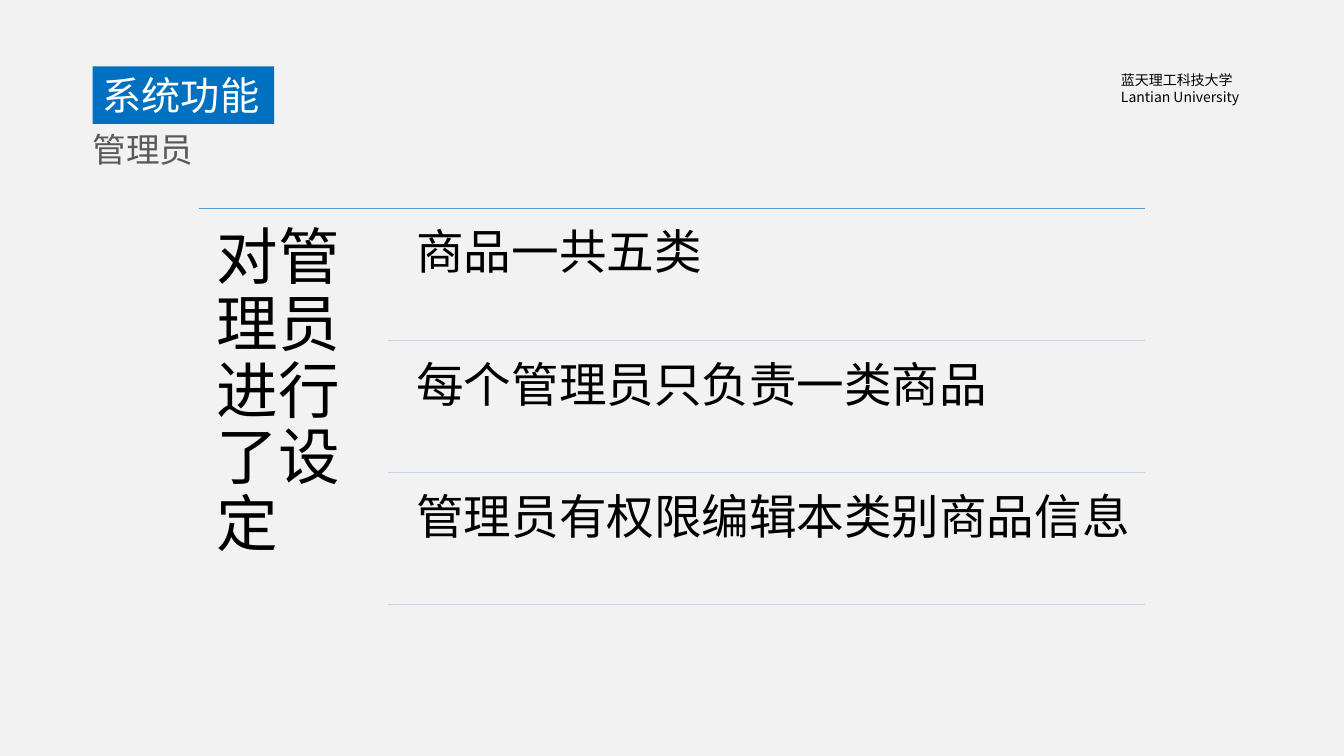
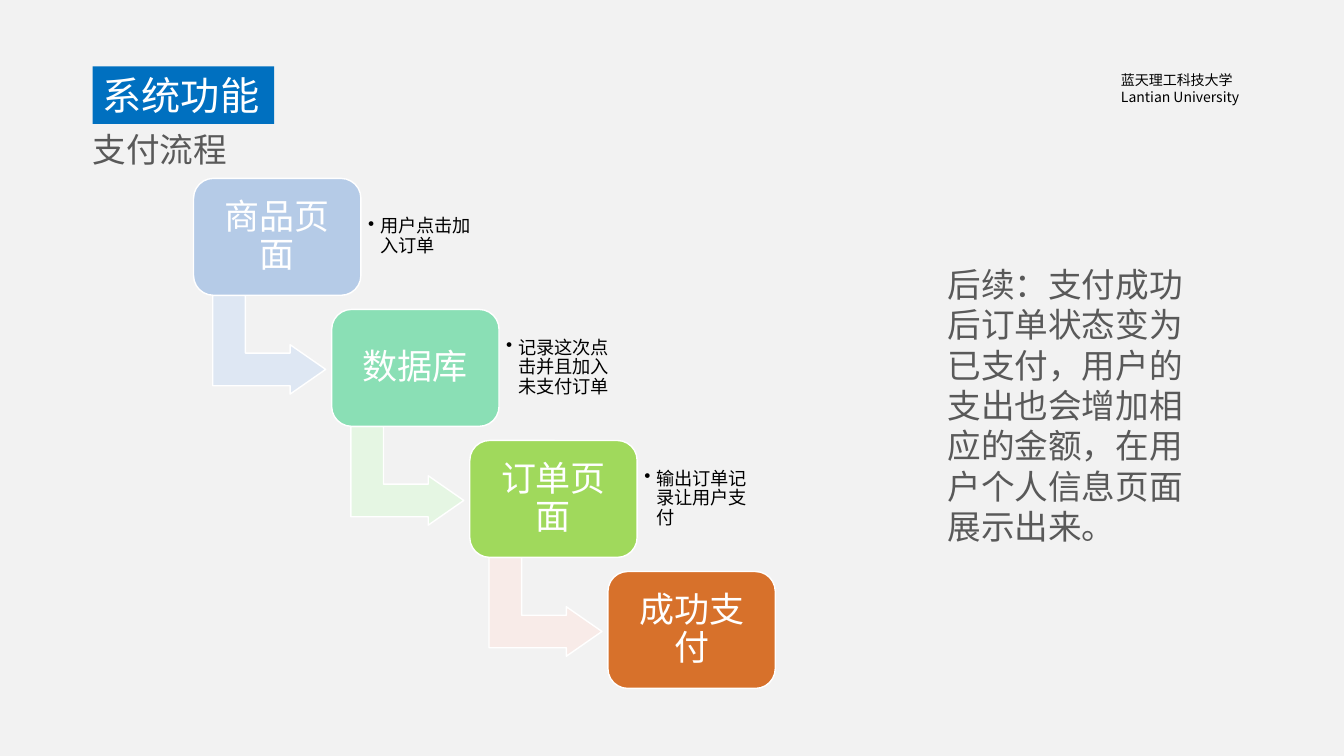
from dataclasses import dataclass

from lxml import etree
from pptx import Presentation
from pptx.dml.color import RGBColor
from pptx.enum.shapes import MSO_CONNECTOR, MSO_SHAPE
from pptx.enum.text import MSO_ANCHOR, PP_ALIGN
from pptx.oxml.ns import qn
from pptx.util import Inches, Pt

STRAIGHT = MSO_CONNECTOR.STRAIGHT
RECTANGLE = MSO_SHAPE.RECTANGLE
ROUNDED = MSO_SHAPE.ROUNDED_RECTANGLE
BENT_ARROW = MSO_SHAPE.BENT_UP_ARROW
TOP, MIDDLE = MSO_ANCHOR.TOP, MSO_ANCHOR.MIDDLE
LEFT, CENTER = PP_ALIGN.LEFT, PP_ALIGN.CENTER


@dataclass(frozen=True)
class Theme:
    background: str = "F2F2F2"
    band: str = "0070C0"
    white: str = "FFFFFF"
    black: str = "000000"
    gray: str = "595959"
    main_rule: str = "5B9BD5"
    row_rule: str = "C4D5EB"
    heading_font: str = "Noto Sans CJK SC"
    body_font: str = "Calibri"
    school_size: int = 10
    note_size: int = 13
    body_size: int = 24
    step_size: int = 25
    title_size: int = 28
    row_size: int = 34
    topic_size: int = 44


THEME = Theme()


def write_text(shape, lines, size, color, font=THEME.heading_font, inset=None,
               spacing=None, anchor=TOP, align=LEFT):
    """Fill a shape with one paragraph per line, all in the same style."""
    frame = shape.text_frame
    frame.word_wrap = True
    frame.vertical_anchor = anchor
    if inset is not None:
        frame.margin_left = frame.margin_right = Inches(inset)
        frame.margin_top = frame.margin_bottom = Inches(inset)
    frame.text = "\n".join(lines)
    for paragraph in frame.paragraphs:
        paragraph.alignment = align
        paragraph.line_spacing = spacing
        paragraph.font.name = font
        paragraph.font.size = Pt(size)
        paragraph.font.color.rgb = RGBColor.from_string(color)


def add_rule(slide, left, right, top, color):
    rule = slide.shapes.add_connector(
        STRAIGHT, Inches(left), Inches(top), Inches(right), Inches(top))
    rule.line.color.rgb = RGBColor.from_string(color)
    rule.line.width = Pt(1)
    etree.SubElement(rule.line._get_or_add_ln().getparent(), qn("a:effectLst"))


presentation = Presentation()
presentation.slide_width = Inches(13.33)
presentation.slide_height = Inches(7.5)
blank_layout = presentation.slide_layouts[6]

# Shared header
slides = []
for subtitle in ("管理员", "支付流程"):
    slide = presentation.slides.add_slide(blank_layout)
    slide.background.fill.solid()
    slide.background.fill.fore_color.rgb = RGBColor.from_string(THEME.background)

    school = slide.shapes.add_textbox(Inches(11.02), Inches(0.66), Inches(2.3), Inches(0.44))
    write_text(school, ["蓝天理工科技大学", "Lantian University"],
               THEME.school_size, THEME.black)

    title = slide.shapes.add_shape(
        RECTANGLE, Inches(0.92), Inches(0.66), Inches(1.8), Inches(0.57))
    title.shadow.inherit = False
    title.fill.solid()
    title.fill.fore_color.rgb = RGBColor.from_string(THEME.band)
    title.line.fill.background()
    write_text(title, ["系统功能"], THEME.title_size, THEME.white, anchor=MIDDLE)

    subtitle_box = slide.shapes.add_textbox(
        Inches(0.82), Inches(1.23), Inches(4.96), Inches(0.5))
    write_text(subtitle_box, [subtitle], THEME.body_size, THEME.gray)
    slides.append(slide)

admin_slide, payment_slide = slides

# Administrator rules
list_left, list_right, list_top = 1.97, 11.36, 2.07
row_left, row_height = 3.85, 1.31
add_rule(admin_slide, list_left, list_right, list_top, THEME.main_rule)
topic = admin_slide.shapes.add_textbox(
    Inches(list_left), Inches(list_top), Inches(row_left - list_left), Inches(4))
write_text(topic, ["对管理员进行了设定"], THEME.topic_size, THEME.black,
           THEME.body_font, inset=0.18, spacing=0.9)

rows = ("商品一共五类", "每个管理员只负责一类商品", "管理员有权限编辑本类别商品信息")
for index, text in enumerate(rows):
    row_top = list_top + index * row_height
    row = admin_slide.shapes.add_textbox(
        Inches(row_left + 0.14), Inches(row_top + 0.06), Inches(7.37), Inches(1.25))
    write_text(row, [text], THEME.row_size, THEME.black,
               THEME.body_font, inset=0.14, spacing=0.9)
    add_rule(admin_slide, row_left, list_right, row_top + row_height, THEME.row_rule)

# Payment steps: name, step colour, note, colour of the arrow to the next step
steps = (
    ("商品页面", "B5CBE7", "用户点击加入订单", "DEE7F3"),
    ("数据库", "8ADFB5", "记录这次点击并且加入未支付订单", "E5F6E3"),
    ("订单页面", "A0D95C", "输出订单记录让用户支付", "F8EBE8"),
    ("成功支付", "D7712B", None, None),
)
step_width, step_height = 1.66, 1.16
for index, (name, step_color, note, arrow_color) in enumerate(steps):
    left = 1.92 + index * 1.37
    top = 1.77 + index * 1.3
    outlined = []
    if note:
        arrow = payment_slide.shapes.add_shape(
            BENT_ARROW, Inches(left + 0.26), Inches(top + 1.09), Inches(0.98), Inches(1.12))
        arrow.rotation = 90
        for position, value in enumerate((0.33, 0.25, 0.36)):
            arrow.adjustments[position] = value
        outlined.append((arrow, arrow_color))

        note_box = payment_slide.shapes.add_textbox(
            Inches(left + step_width), Inches(top + 0.11), Inches(1.21), Inches(0.94))
        write_text(note_box, [note], THEME.note_size, THEME.black,
                   THEME.body_font, inset=0.07, spacing=0.9, anchor=MIDDLE)
        properties = note_box.text_frame.paragraphs[0]._p.get_or_add_pPr()
        properties.set("marL", str(Inches(0.12)))
        properties.set("indent", str(-Inches(0.12)))
        bullet = etree.Element(qn("a:buChar"), char="•")
        properties.find(qn("a:lnSpc")).addnext(bullet)

    step = payment_slide.shapes.add_shape(
        ROUNDED, Inches(left), Inches(top), Inches(step_width), Inches(step_height))
    step.adjustments[0] = 0.17
    write_text(step, [name], THEME.step_size, THEME.white, THEME.body_font,
               inset=0.1, spacing=0.9, anchor=MIDDLE, align=CENTER)
    outlined.append((step, step_color))

    for shape, color in outlined:
        shape.shadow.inherit = False
        shape.fill.solid()
        shape.fill.fore_color.rgb = RGBColor.from_string(color)
        shape.line.color.rgb = RGBColor.from_string(THEME.white)
        shape.line.width = Pt(1)

outcome = payment_slide.shapes.add_textbox(
    Inches(9.3), Inches(2.57), Inches(2.73), Inches(2.93))
write_text(
    outcome,
    ["后续：支付成功后订单状态变为已支付，用户的支出也会增加相应的金额，在用户个人信息页面展示出来。"],
    THEME.body_size, THEME.gray)

presentation.save("out.pptx")
